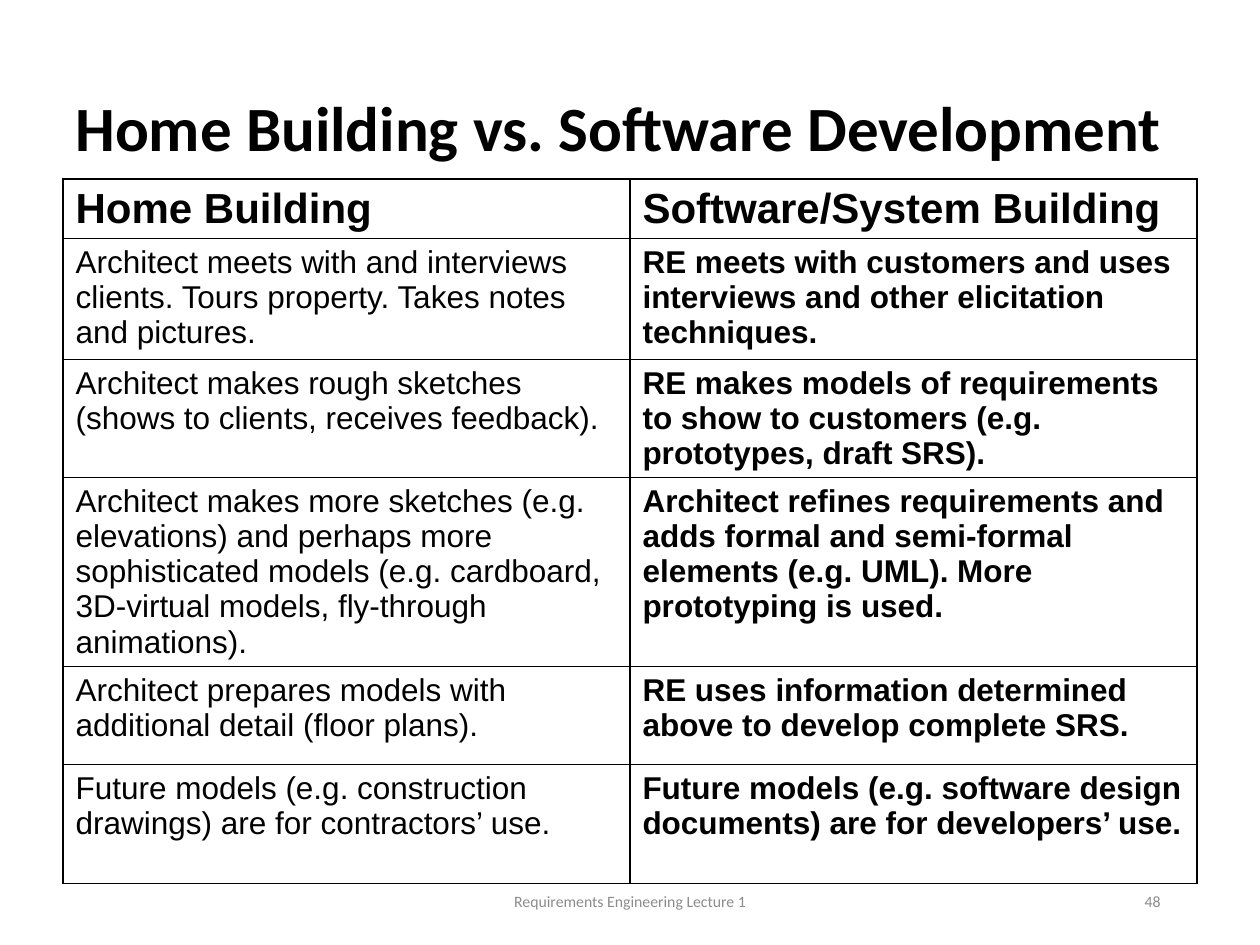
from lxml.etree import SubElement
from pptx import Presentation
from pptx.dml.color import RGBColor
from pptx.enum.text import MSO_ANCHOR as Anchor, PP_ALIGN as Align
from pptx.oxml.ns import qn
from pptx.util import Pt

SCALE = 914400 // 126
COLOURS = {"text": "000000", "muted": "8C8C8C", "border": "000000"}
ROW_HEIGHTS = [59, 121, 118, 189, 98, 119]
LINE_PITCH = {24: 26.8, 18: 20.1}
ROWS = [
    ("Home Building", "Software/System Building"),
    ("Architect meets with and interviews clients. Tours property. Takes notes and pictures.",
     "RE meets with customers and uses interviews and other elicitation techniques."),
    ("Architect makes rough sketches (shows to clients, receives feedback).",
     "RE makes models of requirements to show to customers (e.g. prototypes, draft SRS)."),
    ("Architect makes more sketches (e.g. elevations) and perhaps more sophisticated models "
     "(e.g. cardboard, 3D-virtual models, fly-through animations).",
     "Architect refines requirements and adds formal and semi-formal elements (e.g. UML). "
     "More prototyping is used."),
    ("Architect prepares models with additional detail (floor plans).",
     "RE uses information determined above to develop complete SRS."),
    ("Future models (e.g. construction drawings) are for contractors’ use.",
     "Future models (e.g. software design documents) are for developers’ use."),
]


def emu(*pixels):
    """Turn pixel lengths into EMU."""
    return [length * SCALE for length in pixels]


def add_span(para, text, size, font, colour, bold=False):
    """Add one formatted run to a paragraph."""
    span = para.add_run()
    span.text = text
    span.font.size = Pt(size)
    span.font.name = font
    span.font.bold = bold
    span.font.color.rgb = RGBColor.from_string(COLOURS[colour])


def add_label(page, box, text, size, colour, align, bold=False, spacing=1.0):
    """Place one vertically centred line of text in a box."""
    frame = page.shapes.add_textbox(*emu(*box)).text_frame
    frame.word_wrap = True
    frame.vertical_anchor = Anchor.MIDDLE
    para = frame.paragraphs[0]
    para.alignment = align
    para.line_spacing = spacing
    add_span(para, text, size, "Calibri", colour, bold)


def add_borders(cell):
    """Draw a one-point line on all sides of a cell."""
    properties = cell._tc.get_or_add_tcPr()
    for place, side in enumerate(("a:lnL", "a:lnR", "a:lnT", "a:lnB")):
        line = properties.makeelement(qn(side), {"w": str(Pt(1))})
        fill = SubElement(line, qn("a:solidFill"))
        SubElement(fill, qn("a:srgbClr"), val=COLOURS["border"])
        properties.insert(place, line)


def add_comparison(page, box):
    """Place the two-column comparison table in a box."""
    table = page.shapes.add_table(len(ROWS), 2, *emu(*box)).table
    table.first_row = table.horz_banding = False
    for row_index, (height, texts) in enumerate(zip(ROW_HEIGHTS, ROWS)):
        table.rows[row_index].height = height * SCALE
        header = row_index == 0
        size = 24 if header else 18
        for column, text in enumerate(texts):
            cell = table.cell(row_index, column)
            cell.fill.background()
            add_borders(cell)
            para = cell.text_frame.paragraphs[0]
            para.line_spacing = Pt(LINE_PITCH[size])
            add_span(para, text, size, "Arial", "text", bold=header or column == 1)


def add_footer(page, box):
    """Place the lecture name and page number in the footer strip."""
    left, top, width, height = box
    add_label(page, (left + 354, top, 426, height), "Requirements Engineering Lecture 1",
              9, "muted", Align.CENTER)
    add_label(page, (left + width - 284, top, 284, height), "48", 9, "muted", Align.RIGHT)


def build_page(deck):
    """Build the comparison slide."""
    page = deck.slides.add_slide(deck.slide_layouts[6])
    add_footer(page, (63, 876, 1110, 50))
    add_label(page, (63, 52, 1134, 158), "Home Building vs. Software Development",
              36, "text", Align.LEFT, bold=True, spacing=0.9)
    add_comparison(page, (63, 179, 1134, sum(ROW_HEIGHTS)))


deck = Presentation()
deck.slide_width, deck.slide_height = emu(1260, 945)
build_page(deck)
deck.save("out.pptx")
